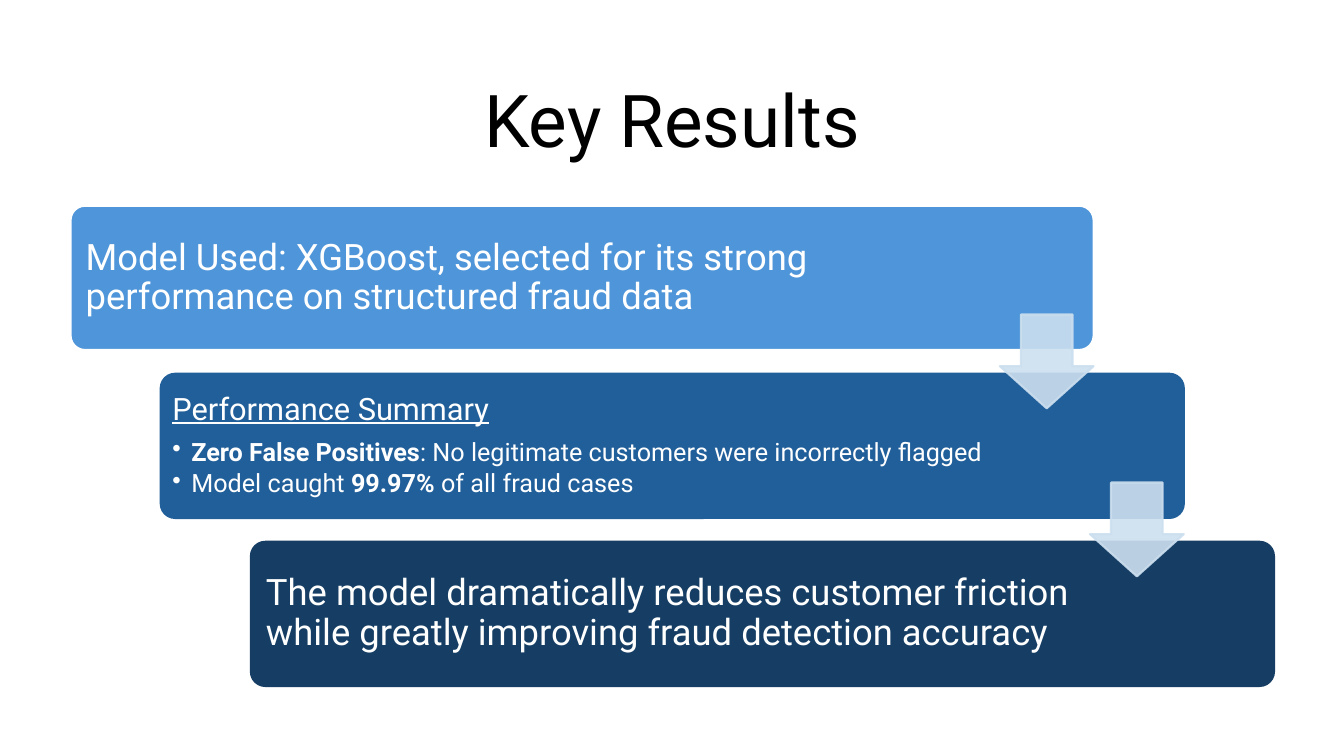
from dataclasses import dataclass

from lxml.etree import SubElement
from pptx import Presentation
from pptx.dml.color import RGBColor
from pptx.enum.shapes import MSO_SHAPE
from pptx.enum.text import MSO_ANCHOR, PP_ALIGN
from pptx.oxml.ns import qn
from pptx.util import Pt


@dataclass(frozen=True)
class Theme:
    font: str = "Roboto"
    ink: str = "000000"
    white: str = "FFFFFF"
    sky: str = "4E95D9"
    blue: str = "215F9A"
    navy: str = "163E64"
    pale: str = "CCDFEF"
    title: int = 52
    body: int = 26
    head: int = 22
    item: int = 18
    edge: float = 1.5
    alpha: int = 90000


THEME = Theme()


def add_shape(slide, kind, box, adjust, fill, line):
    shape = slide.shapes.add_shape(kind, *map(Pt, box))
    shape.shadow.inherit = False
    for index, value in enumerate(adjust):
        shape.adjustments[index] = value
    shape.fill.solid()
    shape.fill.fore_color.rgb = RGBColor.from_string(fill)
    shape.line.color.rgb = RGBColor.from_string(line)
    shape.line.width = Pt(THEME.edge)
    return shape


def add_frame(slide, box, inset):
    frame = slide.shapes.add_textbox(*map(Pt, box)).text_frame
    frame.word_wrap = True
    frame.vertical_anchor = MSO_ANCHOR.MIDDLE
    frame.margin_left = frame.margin_right = Pt(inset)
    frame.margin_top = frame.margin_bottom = Pt(inset)
    return frame


def write(para, runs, size, color, after=0, bullet=False):
    if bullet:
        props = para._p.get_or_add_pPr()
        props.set("marL", str(Pt(13.5)))
        props.set("indent", str(Pt(-13.5)))
        SubElement(props, qn("a:buChar")).set("char", "•")
    para.line_spacing = 0.9
    para.space_after = Pt(after)
    para.font.name = THEME.font
    para.font.size = Pt(size)
    para.font.color.rgb = RGBColor.from_string(color)
    for text, bold in runs:
        run = para.add_run()
        run.text = text
        if bold:
            run.font.bold = True


def add_title(slide, box, text):
    para = add_frame(slide, box, 4).paragraphs[0]
    write(para, [(text, False)], THEME.title, THEME.ink)
    para.alignment = PP_ALIGN.CENTER


def add_card(slide, box, fill, line, span, inset):
    left, top, _, height = box
    add_shape(slide, MSO_SHAPE.ROUNDED_RECTANGLE, box, [0.1], fill, line)
    return add_frame(slide, (left + 3, top + 3, span, height - 6), inset)


def add_claim(slide, box, fill, line, span, text):
    frame = add_card(slide, box, fill, line, span, 7.8)
    write(frame.paragraphs[0], [(text, False)], THEME.body, THEME.white, 10.7)


def add_summary(slide, box, fill, span, head, items):
    frame = add_card(slide, box, fill, fill, span, 5.4)
    para = frame.paragraphs[0]
    write(para, [(head, False)], THEME.head, THEME.white, 9)
    para.font.underline = True
    for runs in items:
        write(frame.add_paragraph(), runs, THEME.item, THEME.white, 3.2, True)


def add_arrow(slide, box):
    left, top, width, _ = box
    size = 67
    place = (left + width - size, top + 77.7, size, size)
    arrow = add_shape(slide, MSO_SHAPE.DOWN_ARROW, place, [0.55, 0.45],
                      THEME.pale, THEME.pale)
    for color in arrow._element.spPr.iter(qn("a:srgbClr")):
        SubElement(color, qn("a:alpha")).set("val", str(THEME.alpha))


def add_steps(slide, box):
    left, top, width, height = box
    cards = [(left + 64.4 * step, top + 120 * step, width, height)
             for step in range(3)]
    add_claim(slide, cards[0], THEME.sky, THEME.white, 620,
              "Model Used: XGBoost, selected for its strong "
              "performance on structured fraud data")
    add_summary(slide, cards[1], THEME.blue, 593.3, "Performance Summary", [
        [("Zero False Positives", True),
         (": No legitimate customers were incorrectly flagged", False)],
        [("Model caught ", False), ("99.97% ", True),
         ("of all fraud cases", False)],
    ])
    add_claim(slide, cards[2], THEME.navy, THEME.navy, 593.3,
              "The model dramatically reduces customer friction "
              "while greatly improving fraud detection accuracy")
    for card in cards[:-1]:
        add_arrow(slide, card)


def main():
    deck = Presentation()
    deck.slide_width, deck.slide_height = Pt(960), Pt(540)
    slide = deck.slides.add_slide(deck.slide_layouts[6])
    add_title(slide, (66, 44, 828, 89), "Key Results")
    add_steps(slide, (50.4, 147, 730.8, 103))
    deck.save("out.pptx")


if __name__ == "__main__":
    main()
